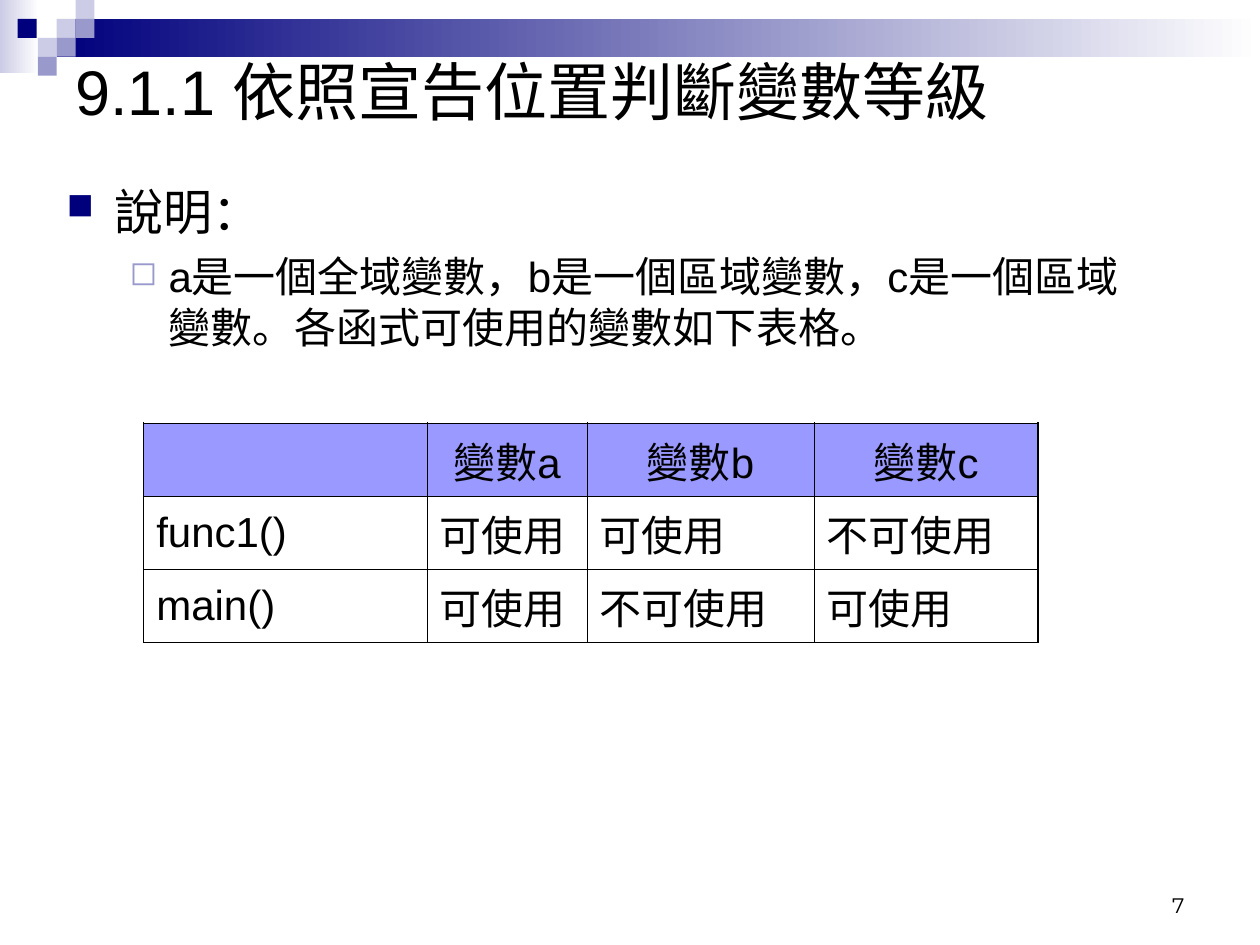
from dataclasses import dataclass

from lxml import etree
from pptx import Presentation
from pptx import util as u
from pptx.dml.color import RGBColor
from pptx.enum import shapes, text
from pptx.oxml.ns import qn


@dataclass(frozen=True)
class Theme:
    navy: str = "00007D"
    violet: str = "9999CC"
    pale: str = "CCCCE6"
    header: str = "9999FF"
    white: str = "FFFFFF"
    ink: str = "000000"
    font: str = "Arial"
    number_font: str = "Montserrat"
    title: int = 36
    heading: int = 28
    body: int = 24
    number: int = 12
    outer: float = 1.08
    inner: float = 0.45


class SlideBuilder:
    def __init__(self, slide, theme):
        self.slide = slide
        self.theme = theme

    def rectangle(self, left, top, width, height):
        shape = self.slide.shapes.add_shape(
            shapes.MSO_SHAPE.RECTANGLE, *map(u.Inches, (left, top, width, height)))
        shape.shadow.inherit = False
        shape.line.fill.background()
        return shape

    def square(self, left, top, color):
        fill = self.rectangle(left, top, 0.15, 0.15).fill
        fill.solid()
        fill.fore_color.rgb = RGBColor.from_string(color)

    def gradient(self, left, top, width, height, color):
        fill = self.rectangle(left, top, width, height).fill
        fill.gradient()
        fill.gradient_angle = 180
        for stop, position, shade in zip(fill.gradient_stops, (0, 1), (self.theme.white, color)):
            stop.position = position
            stop.color.rgb = RGBColor.from_string(shade)

    def text_box(self, left, top, width, height, anchor):
        box = self.slide.shapes.add_textbox(*map(u.Inches, (left, top, width, height)))
        box.text_frame.word_wrap = True
        box.text_frame.vertical_anchor = anchor
        return box.text_frame

    def add_text(self, para, words, size, font=None, before=0, align=text.PP_ALIGN.LEFT):
        para.alignment = align
        para.space_before = u.Pt(before)
        span = para.add_run()
        span.text = words
        span.font.size = u.Pt(size)
        span.font.name = font or self.theme.font
        span.font.color.rgb = RGBColor.from_string(self.theme.ink)

    def bullet(self, para, mark, color, percent, margin, hanging):
        props = para._p.get_or_add_pPr()
        props.set("marL", str(u.Inches(margin)))
        props.set("indent", str(-u.Inches(hanging)))
        tint = etree.SubElement(props, qn("a:buClr"))
        etree.SubElement(tint, qn("a:srgbClr"), val=color)
        etree.SubElement(props, qn("a:buSzPct"), val=str(percent * 1000))
        etree.SubElement(props, qn("a:buChar"), char=mark)

    def borders(self, cell, widths):
        props = cell._tc.get_or_add_tcPr()
        for index, (side, width) in enumerate(widths.items()):
            line = etree.Element(qn(f"a:ln{side}"), w=str(u.Pt(width)))
            paint = etree.SubElement(line, qn("a:solidFill"))
            etree.SubElement(paint, qn("a:srgbClr"), val=self.theme.ink)
            props.insert(index, line)

    def table(self, left, top, widths, row_height, rows):
        theme = self.theme
        last_row, last_column = len(rows) - 1, len(widths) - 1
        table = self.slide.shapes.add_table(
            len(rows), len(widths), u.Inches(left), u.Inches(top),
            u.Inches(sum(widths)), u.Inches(row_height * len(rows))).table
        table.first_row = table.horz_banding = False
        for column, width in zip(table.columns, widths):
            column.width = u.Inches(width)
        for r, row in enumerate(rows):
            table.rows[r].height = u.Inches(row_height)
            for c, words in enumerate(row):
                cell = table.cell(r, c)
                cell.vertical_anchor = text.MSO_ANCHOR.MIDDLE
                if r == 0:
                    cell.fill.solid()
                    cell.fill.fore_color.rgb = RGBColor.from_string(theme.header)
                else:
                    cell.fill.background()
                edges = {"L": c == 0, "R": c == last_column, "T": r == 0, "B": r == last_row}
                self.borders(cell, {side: theme.outer if edge else theme.inner
                                    for side, edge in edges.items()})
                if words:
                    align = text.PP_ALIGN.LEFT if r else text.PP_ALIGN.CENTER
                    self.add_text(cell.text_frame.paragraphs[0], words, theme.body,
                                  before=6, align=align)


def main():
    deck = Presentation()
    deck.slide_width, deck.slide_height = u.Inches(10), u.Inches(7.5)
    theme = Theme()
    page = SlideBuilder(deck.slides.add_slide(deck.slide_layouts[6]), theme)

    page.gradient(0, 0, 0.31, 0.58, theme.pale)
    page.gradient(0.45, 0.15, 9.55, 0.3, theme.navy)
    for left, top, color in (
        (0.45, 0.15, theme.pale), (0.6, 0, theme.pale), (0.6, 0.15, theme.violet),
        (0.3, 0.3, theme.pale), (0.14, 0.15, theme.navy),
        (0.45, 0.3, theme.violet), (0.3, 0.45, theme.violet),
    ):
        page.square(left, top, color)

    title = page.text_box(0.5, -0.03, 9, 1.5, text.MSO_ANCHOR.MIDDLE)
    page.add_text(title.paragraphs[0], "9.1.1 依照宣告位置判斷變數等級", theme.title)

    body = page.text_box(0.43, 1.39, 8.83, 2.06, text.MSO_ANCHOR.TOP)
    heading = body.paragraphs[0]
    page.add_text(heading, "說明：", theme.heading, before=7)
    page.bullet(heading, "■", theme.navy, 75, 0.38, 0.38)
    detail = body.add_paragraph()
    detail.level = 1
    page.add_text(detail, "a是一個全域變數，b是一個區域變數，c是一個區域變數。各函式可使用的變數如下表格。",
                  theme.body, before=6)
    page.bullet(detail, "◻", theme.violet, 80, 0.81, 0.31)

    page.table(1.14, 3.36, (2.25, 1.27, 1.8, 1.78), 0.58, (
        ("", "變數a", "變數b", "變數c"),
        ("func1()", "可使用", "可使用", "不可使用"),
        ("main()", "可使用", "不可使用", "可使用"),
    ))

    number = page.text_box(7.17, 6.83, 2.33, 0.5, text.MSO_ANCHOR.BOTTOM)
    page.add_text(number.paragraphs[0], "7", theme.number, theme.number_font,
                  align=text.PP_ALIGN.RIGHT)

    deck.save("out.pptx")


if __name__ == "__main__":
    main()
